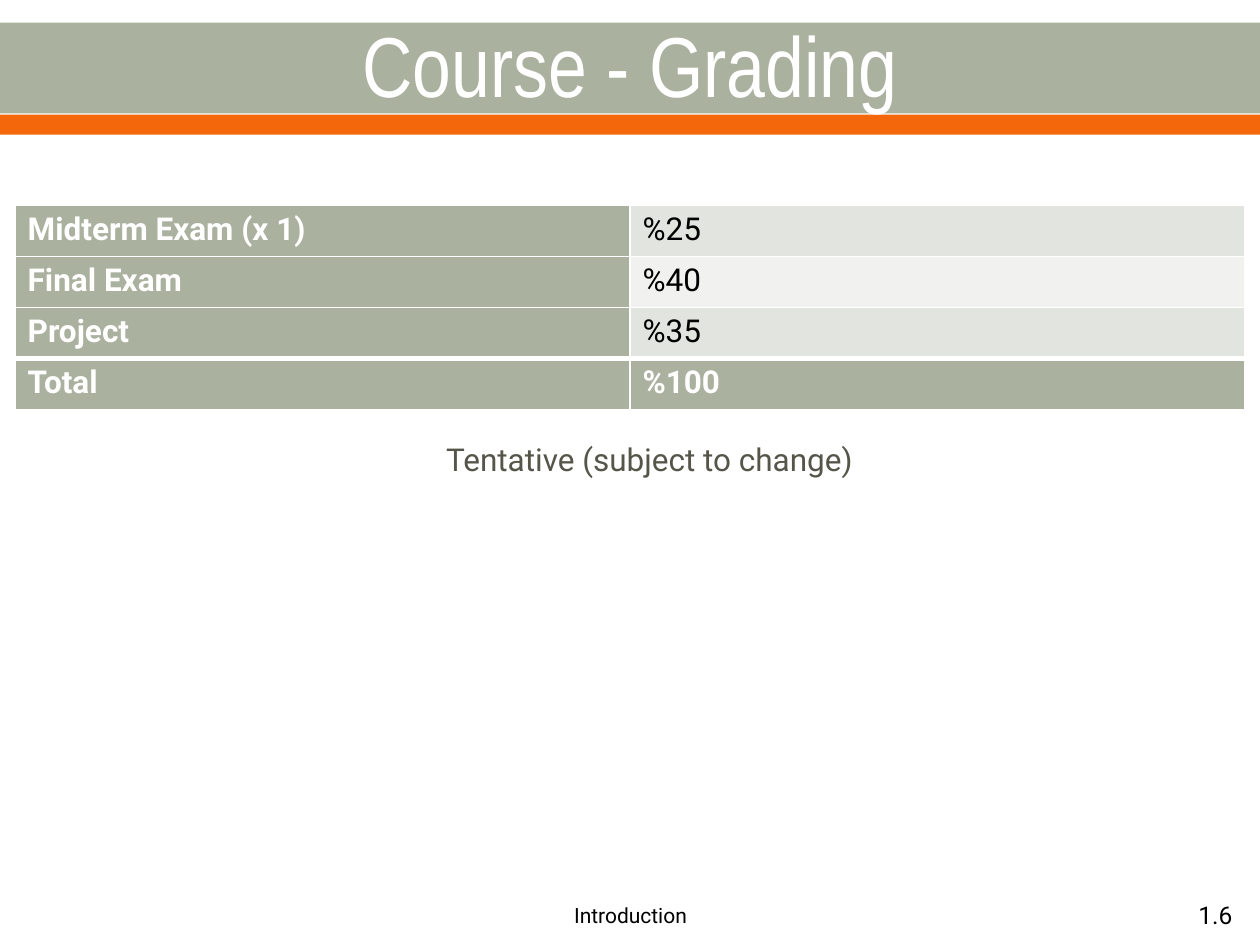
"""Build the course grading slide."""
from dataclasses import dataclass

from lxml import etree
from pptx import Presentation
from pptx import util as u
from pptx.dml.color import RGBColor
from pptx.enum import shapes, text
from pptx.oxml import ns

HUES = {"sage": "ABB19F", "orange": "F4680B", "white": "FFFFFF", "black": "000000",
        "dark": "E2E4DF", "light": "F1F2F0", "olive": "55554A"}
ALIGN = text.PP_ALIGN


@dataclass
class Box:
    left: float
    top: float
    width: float
    height: float

    def emu(self) -> list:
        return [u.Inches(n) for n in (self.left, self.top, self.width, self.height)]


@dataclass
class Style:
    size: float
    hue: str
    bold: bool = False
    face: str = "Roboto"
    align: ALIGN = ALIGN.LEFT


@dataclass
class Bar:
    box: Box
    hue: str


@dataclass
class Label:
    words: str
    box: Box
    style: Style
    anchor: text.MSO_ANCHOR = text.MSO_ANCHOR.MIDDLE


@dataclass
class Grade:
    name: str
    share: str
    total: bool = False


BARS = [Bar(Box(0, 0.18, 10, 0.72), "sage"), Bar(Box(0, 0.91, 10, 0.16), "orange")]
TITLE = Label("Course - Grading", Box(0, 0.19, 10, 0.62),
              Style(48.6, "white", face="Arial Narrow", align=ALIGN.CENTER))
LABELS = [
    Label("Introduction", Box(3.42, 7.06, 3.17, 0.4), Style(12, "black", align=ALIGN.CENTER)),
    Label("1.6", Box(8.15, 7.06, 1.73, 0.4), Style(14, "black", align=ALIGN.RIGHT)),
    Label("Tentative (subject to change)", Box(2.24, 3.44, 5.83, 0.4),
          Style(18, "olive", align=ALIGN.CENTER), text.MSO_ANCHOR.TOP),
]
GRADES = [Grade("Midterm Exam (x 1)", "%25"), Grade("Final Exam", "%40"),
          Grade("Project", "%35"), Grade("Total", "%100", True)]
GRID = Box(0.12, 1.63, 9.76, 1.62)


def color(hue: str) -> RGBColor:
    return RGBColor.from_string(HUES[hue])


def write(frame, words: str, style: Style) -> None:
    para = frame.paragraphs[0]
    para.alignment = style.align
    run = para.add_run()
    run.text = words
    font = run.font
    font.name, font.size, font.bold = style.face, u.Pt(style.size), style.bold
    font.color.rgb = color(style.hue)


def fill_label(shape, label: Label) -> None:
    frame = shape.text_frame
    frame.word_wrap = True
    frame.auto_size = text.MSO_AUTO_SIZE.NONE
    frame.vertical_anchor = label.anchor
    write(frame, label.words, label.style)


def draw_title(slide, label: Label) -> None:
    title = slide.shapes.title
    title.left, title.top, title.width, title.height = label.box.emu()
    fill_label(title, label)


def draw_bar(slide, bar: Bar) -> None:
    shape = slide.shapes.add_shape(shapes.MSO_SHAPE.RECTANGLE, *bar.box.emu())
    shape.shadow.inherit = False
    shape.fill.solid()
    shape.fill.fore_color.rgb = color(bar.hue)
    shape.line.fill.background()
    slide.shapes.title.element.addprevious(shape.element)


def edge(cell, side: str, width: float) -> None:
    props = cell._tc.get_or_add_tcPr()
    line = etree.SubElement(props, ns.qn(f"a:{side}"), w=str(u.Pt(width)))
    solid = etree.SubElement(line, ns.qn("a:solidFill"))
    etree.SubElement(solid, ns.qn("a:srgbClr"), val=HUES["white"])


def draw_cell(cell, words: str, hue: str, style: Style, top: float, base: float) -> None:
    for side, width in (("lnL", 1), ("lnR", 1), ("lnT", top), ("lnB", base)):
        edge(cell, side, width)
    cell.fill.solid()
    cell.fill.fore_color.rgb = color(hue)
    write(cell.text_frame, words, style)


def draw_grid(slide, grades: list[Grade], box: Box) -> None:
    table = slide.shapes.add_table(len(grades), 2, *box.emu()).table
    table.first_row = table.horz_banding = False
    head, body = Style(18, "white", True), Style(18, "black")
    for row, grade in enumerate(grades):
        last = row + 1 < len(grades) and grades[row + 1].total
        top, base = 3 if grade.total else 1, 3 if last else 1
        band = "light" if row % 2 else "dark"
        draw_cell(table.cell(row, 0), grade.name, "sage", head, top, base)
        draw_cell(table.cell(row, 1), grade.share, "sage" if grade.total else band,
                  head if grade.total else body, top, base)


def main() -> None:
    deck = Presentation()
    deck.slide_width, deck.slide_height = u.Inches(10), u.Inches(7.5)
    slide = deck.slides.add_slide(deck.slide_layouts[5])
    for bar in BARS:
        draw_bar(slide, bar)
    draw_title(slide, TITLE)
    draw_grid(slide, GRADES, GRID)
    for label in LABELS:
        fill_label(slide.shapes.add_textbox(*label.box.emu()), label)
    deck.save("out.pptx")


if __name__ == "__main__":
    main()
